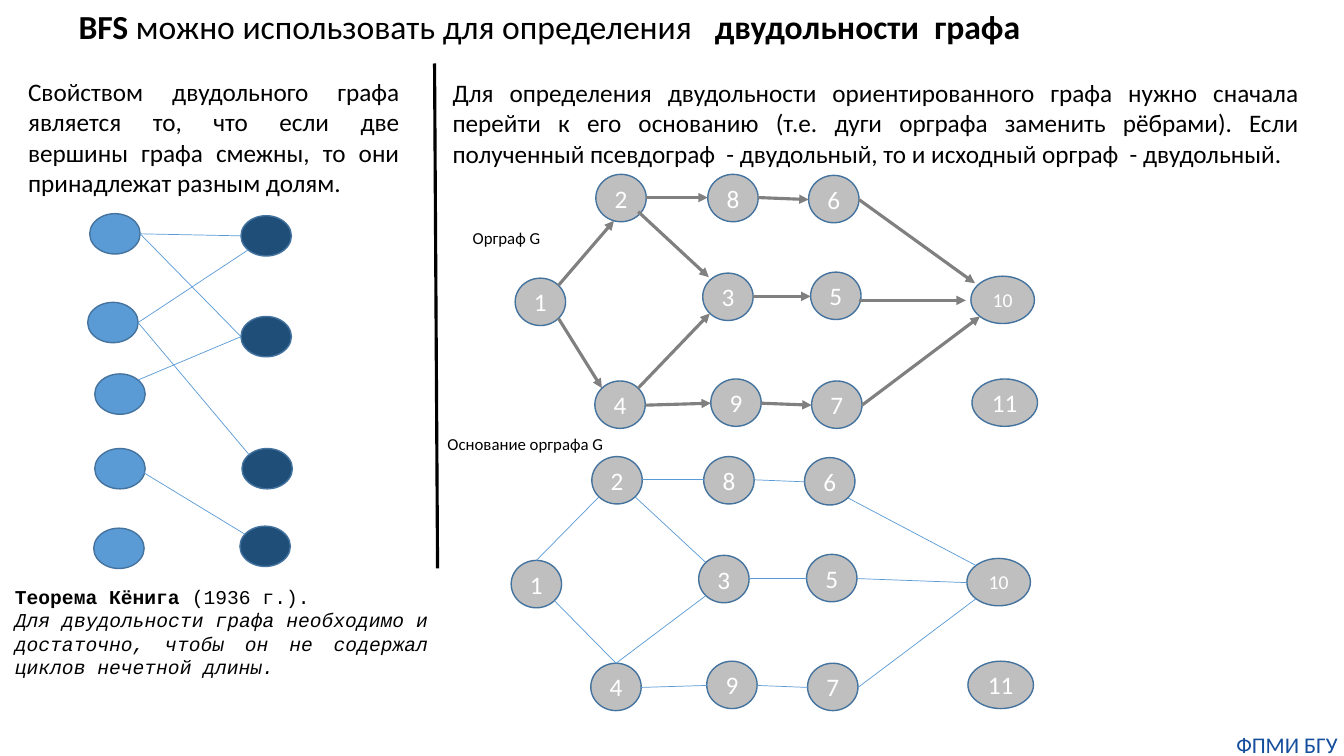
from dataclasses import dataclass

from lxml import etree
from pptx import Presentation, util as u
from pptx.dml.color import RGBColor
from pptx.enum import shapes, text
from pptx.oxml import ns

PX = 9144  # EMU in one px, 100 px to the inch


@dataclass(frozen=True)
class Theme:
    font: str = "Calibri"
    mono: str = "Courier New"
    black: str = "000000"
    white: str = "FFFFFF"
    grey: str = "BFBFBF"
    arrow: str = "808080"
    rim: str = "43739E"
    light: str = "5B9BD5"
    dark: str = "1F4E79"
    navy: str = "144E9D"
    title: int = 24
    body: int = 18
    foot: int = 16
    small: int = 14
    label: int = 12
    thick: float = 2.25
    thin: float = 0.5


T = Theme()


@dataclass(frozen=True)
class Run:
    words: str
    bold: bool = False
    slant: bool = False


@dataclass(frozen=True)
class Note:
    box: tuple[int, int, int, int]
    paras: list[list[Run]]
    size: int
    align: text.PP_ALIGN = text.PP_ALIGN.LEFT
    font: str = T.font
    color: str = T.black
    wrap: bool = True
    inset: bool = True


@dataclass(frozen=True)
class Node:
    name: str
    x: int
    y: int
    w: int = 50
    h: int = 47
    fill: str = T.grey
    size: int = T.body
    shown: bool = True


@dataclass(frozen=True)
class Edge:
    start: str
    leave: str
    end: str
    enter: str
    shift: tuple[int, int] = (0, 0)  # px off the starting site
    stop: tuple[int, int] = (0, 0)  # px off the final site


# Points on an ellipse, as fractions of its width and height from the centre
DIAG = 0.354
SITES = {
    "n": (0, -0.5), "s": (0, 0.5), "w": (-0.5, 0), "e": (0.5, 0),
    "nw": (-DIAG, -DIAG), "ne": (DIAG, -DIAG),
    "sw": (-DIAG, DIAG), "se": (DIAG, DIAG),
}


def px(n: float) -> u.Emu:
    return u.Emu(round(n) * PX)


def rgb(code: str) -> RGBColor:
    return RGBColor.from_string(code)


def write(frame, note: Note) -> None:
    frame.word_wrap = note.wrap
    for i, runs in enumerate(note.paras):
        para = frame.paragraphs[0] if i == 0 else frame.add_paragraph()
        para.alignment = note.align
        for part in runs:
            run = para.add_run()
            run.text = part.words
            font = run.font
            font.name, font.size = note.font, u.Pt(note.size)
            font.bold, font.italic = part.bold, part.slant
            font.color.rgb = rgb(note.color)


def place(shape, box: tuple[int, int, int, int]) -> None:
    shape.left, shape.top, shape.width, shape.height = map(px, box)


def add_note(slide, note: Note) -> None:
    frame = slide.shapes.add_textbox(*map(px, note.box)).text_frame
    if not note.inset:
        frame.margin_left = frame.margin_right = 0
        frame.margin_top = frame.margin_bottom = 0
    write(frame, note)


def add_node(slide, node: Node, dx: int, dy: int) -> None:
    box = (node.x + dx, node.y + dy, node.w, node.h)
    oval = slide.shapes.add_shape(shapes.MSO_SHAPE.OVAL, *map(px, box))
    oval.shadow.inherit = False
    oval.fill.solid()
    oval.fill.fore_color.rgb = rgb(node.fill)
    oval.line.color.rgb = rgb(T.rim)
    oval.line.width = u.Pt(1)
    if node.shown:
        oval.text_frame.vertical_anchor = text.MSO_ANCHOR.MIDDLE
        write(oval.text_frame, Note(box, [[Run(node.name)]], node.size,
                                    text.PP_ALIGN.CENTER, color=T.white, wrap=False))


def add_line(slide, ends: tuple[float, ...], color: str, width: float,
             arrow: bool = False) -> None:
    line = slide.shapes.add_connector(shapes.MSO_CONNECTOR.STRAIGHT, *map(px, ends))
    line.line.color.rgb = rgb(color)
    line.line.width = u.Pt(width)
    if arrow:
        tail = etree.SubElement(line.line._get_or_add_ln(), ns.qn("a:tailEnd"))
        tail.set("type", "triangle")
    etree.SubElement(line._element.spPr, ns.qn("a:effectLst"))


def site(node: Node, key: str, off: tuple[int, int]) -> tuple[float, float]:
    fx, fy = SITES[key]
    return node.x + node.w * (0.5 + fx) + off[0], node.y + node.h * (0.5 + fy) + off[1]


def add_graph(slide, nodes: list[Node], edges: list[Edge], color: str,
              width: float, arrow: bool = False, dx: int = 0, dy: int = 0) -> None:
    known = {node.name: node for node in nodes}
    for node in nodes:
        add_node(slide, node, dx, dy)
    for e in edges:
        x1, y1 = site(known[e.start], e.leave, e.shift)
        x2, y2 = site(known[e.end], e.enter, e.stop)
        add_line(slide, (x1 + dx, y1 + dy, x2 + dx, y2 + dy), color, width, arrow)


# Two parts of the bipartite graph
PARTS = [Node(f"{side}{i}", x, y, 50, 40, fill, shown=False)
         for side, fill, spots in (
             ("a", T.light, [(89, 212), (87, 300), (94, 371), (94, 445), (93, 524)]),
             ("b", T.dark, [(239, 214), (239, 314), (240, 445), (238, 522)]))
         for i, (x, y) in enumerate(spots, 1)]
PAIRS = [
    Edge("a1", "e", "b1", "w"), Edge("a1", "e", "b2", "w"),
    Edge("a2", "e", "b1", "sw"), Edge("a2", "e", "b3", "nw"),
    Edge("a3", "ne", "b2", "w"), Edge("a4", "e", "b4", "nw", (-3, 3), (-2, 2)),
]

# Digraph and its base share the nodes and some edges
NODES = [
    Node("1", 511, 276), Node("2", 591, 173), Node("3", 697, 271),
    Node("4", 590, 378), Node("5", 804, 270), Node("6", 802, 174),
    Node("7", 805, 378), Node("8", 702, 173), Node("9", 705, 376),
    Node("10", 963, 274, 63, size=T.small), Node("11", 964, 376, 65),
]
COMMON = [Edge(a, "e", b, "w") for a, b in ("28", "86", "49", "97", "35")]
COMMON.append(Edge("7", "e", "10", "sw"))
ARCS = COMMON + [
    Edge("1", "se", "4", "nw"), Edge("1", "ne", "2", "s", stop=(-7, -1)),
    Edge("2", "se", "3", "nw", (-1, -3), (-1, -3)), Edge("4", "ne", "3", "sw"),
    Edge("5", "e", "10", "w", (-2, 4), (-5, 0)),
    Edge("6", "e", "10", "nw", stop=(-5, 0)),
]
BASE = COMMON + [
    Edge("1", "n", "2", "sw"), Edge("1", "se", "4", "n"), Edge("2", "se", "3", "nw"),
    Edge("4", "n", "3", "sw"), Edge("5", "e", "10", "w"), Edge("6", "se", "10", "nw"),
]

HEAD = Note((68, 1, 962, 50), [[
    Run("BFS ", bold=True), Run("можно использовать для определения   "),
    Run("двудольности  графа", bold=True)]], T.title, wrap=False)
NOTES = [
    Note((18, 71, 388, 131), [[Run(
        "Свойством двудольного графа является то, что если две вершины графа "
        "смежны, то они принадлежат разным долям.")]], T.body, text.PP_ALIGN.JUSTIFY),
    Note((439, 72, 859, 101), [[Run(
        "Для определения двудольности ориентированного графа нужно сначала перейти "
        "к его основанию (т.е. дуги орграфа заменить рёбрами). Если полученный "
        "псевдограф  - двудольный, то и исходный орграф  - двудольный.")]],
        T.body, text.PP_ALIGN.JUSTIFY),
    Note((459, 221, 88, 30), [[Run("Орграф G")]], T.label, wrap=False),
    Note((434, 425, 180, 30), [[Run("Основание орграфа G")]], T.label),
    Note((5, 575, 430, 104), [
        [Run("Теорема Кёнига", bold=True), Run(" (1936 г.).")],
        [Run("Для двудольности графа необходимо и достаточно, чтобы он не "
             "содержал циклов нечетной длины.", slant=True)]],
        T.small, text.PP_ALIGN.JUSTIFY, T.mono),
    Note((1220, 725, 113, 27), [[Run("ФПМИ БГУ")]], T.foot, text.PP_ALIGN.CENTER,
         color=T.navy, inset=False),
]


def main() -> None:
    deck = Presentation()
    deck.slide_width, deck.slide_height = px(1333), px(750)
    slide = deck.slides.add_slide(deck.slide_layouts[5])

    # Title
    title = slide.shapes.title
    place(title, HEAD.box)
    title.text_frame.vertical_anchor = text.MSO_ANCHOR.TOP
    title.text_frame.auto_size = text.MSO_AUTO_SIZE.NONE
    write(title.text_frame, HEAD)

    # Graphs and divider
    add_graph(slide, PARTS, PAIRS, T.light, T.thin)
    add_graph(slide, NODES, ARCS, T.arrow, T.thick, arrow=True)
    add_graph(slide, NODES, BASE, T.light, T.thin, dx=-4, dy=280)
    add_line(slide, (431, 63, 434, 564), T.black, T.thick)

    # Texts
    for note in NOTES:
        add_note(slide, note)
    deck.save("out.pptx")


if __name__ == "__main__":
    main()
